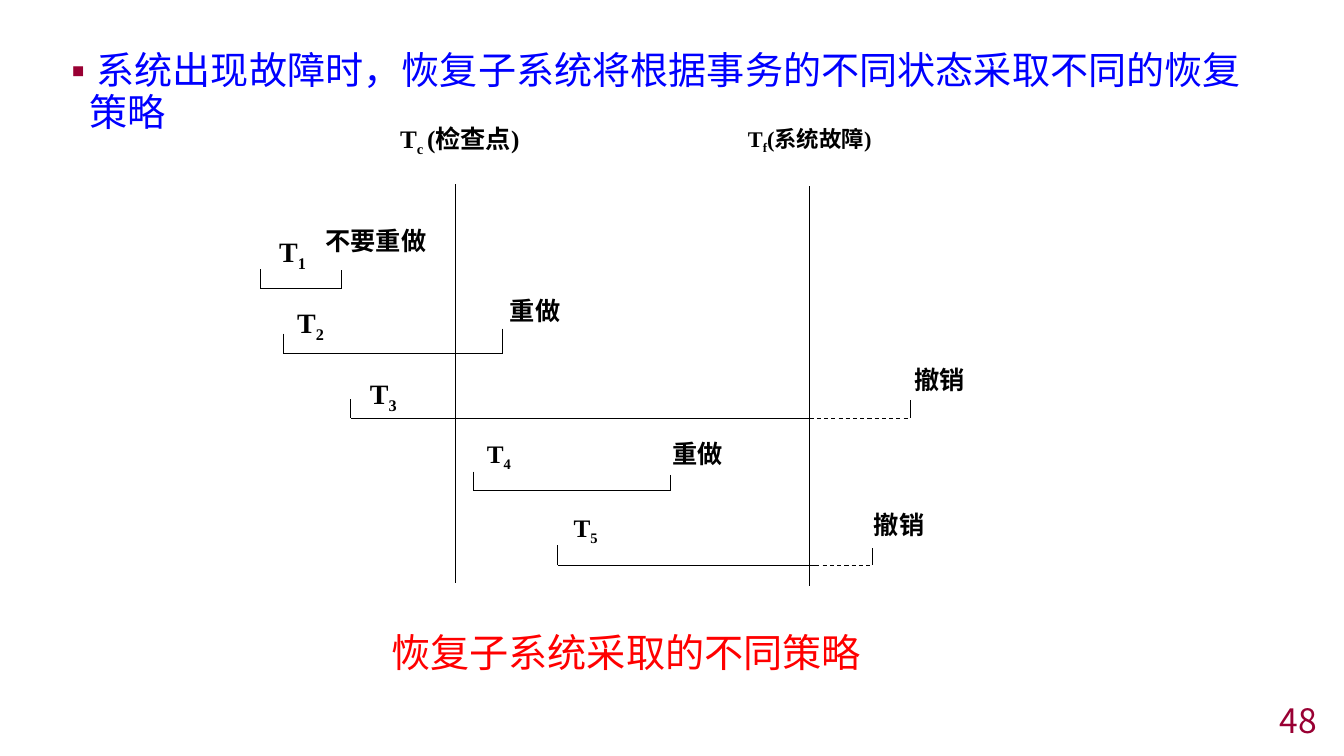
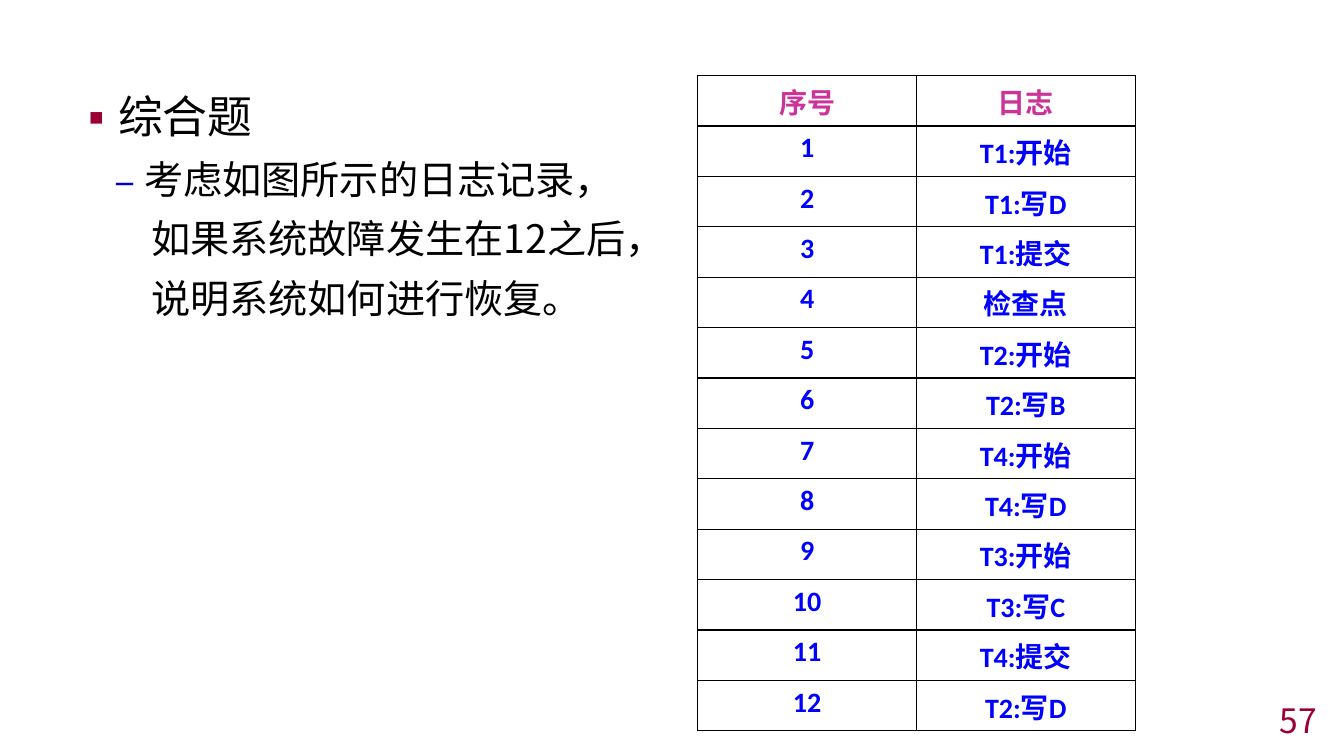
from dataclasses import dataclass
from typing import Optional

from lxml.etree import SubElement
from pptx import Presentation
from pptx.dml.color import RGBColor
from pptx.enum.dml import MSO_LINE
from pptx.enum.shapes import MSO_CONNECTOR
from pptx.enum.text import MSO_ANCHOR, MSO_AUTO_SIZE, PP_ALIGN
from pptx.oxml import parse_xml
from pptx.oxml.ns import nsdecls, qn
from pptx.util import Emu, Pt


@dataclass(frozen=True)
class Theme:
    black: str = "000000"
    blue: str = "0000FF"
    dash_blue: str = "0000CC"
    red: str = "FF0000"
    maroon: str = "990033"
    pink: str = "CC3399"
    sans: str = "Noto Sans CJK SC"
    serif: str = "Times New Roman"
    table_font: str = "Calibri"
    heading: float = 32
    body: float = 28
    lead: float = 27.2
    page: float = 24
    table: float = 20
    label: float = 18
    hairline: float = 0.5
    thin: float = 0.75
    border: float = 1


@dataclass(frozen=True)
class Bullet:
    char: str
    color: str
    percent: int = 100


@dataclass(frozen=True)
class Item:
    """One paragraph of a body list; indents are px."""
    text: str
    size: float
    color: str
    line_height: float
    left: int
    bullet: Optional[Bullet] = None
    hang: int = 0
    level: int = 0
    before: float = 0


@dataclass(frozen=True)
class Transaction:
    """A bracket on the time axis, dashed from crash to end if unfinished."""
    start: int
    end: int
    base: int
    start_tick: int
    end_tick: int
    crash: Optional[int] = None
    resume: Optional[int] = None


@dataclass(frozen=True)
class Label:
    """Diagram text; the part after the first | is a subscript, up to the next |."""
    text: str
    left: int
    top: int
    width: int = 124
    size: float = 18


THEME = Theme()
SQUARE = Bullet("▪", THEME.maroon, 95)
DASH = Bullet("–", THEME.dash_blue)

EVENTS = [(452, 183, 578), (803, 185, 581)]

TRANSACTIONS = [
    Transaction(258, 339, 286, 267, 268),
    Transaction(281, 498, 351, 331, 326),
    Transaction(348, 903, 415, 396, 397, crash=803, resume=803),
    Transaction(470, 665, 487, 468, 471),
    Transaction(553, 865, 561, 541, 544, crash=812, resume=816),
]

LABELS = [
    Label("T|c |(检查点)", 387, 117, 160),
    Label("T|f|(系统故障)", 732, 119, 180, 16),
    Label("T|1", 267, 228, size=20),
    Label("T|2", 285, 298, size=20),
    Label("T|3", 357, 369, size=20),
    Label("T|4", 473, 430),
    Label("T|5", 559, 503),
    Label("不要重做", 313, 219, 156),
    Label("重做", 496, 288),
    Label("撤销", 897, 357),
    Label("重做", 657, 430),
    Label("撤销", 857, 500),
]

LOG = ["T1:开始", "T1:写D", "T1:提交", "检查点", "T2:开始", "T2:写B",
       "T4:开始", "T4:写D", "T3:开始", "T3:写C", "T4:提交", "T2:写D"]


def px(length: int) -> Emu:
    """100 px make one inch."""
    return Emu(length * 9144)


def write(paragraph, text: str, *, size: float, color: str = THEME.black,
          font: str = THEME.sans, bold: bool = False, align=PP_ALIGN.LEFT) -> None:
    """Fill a paragraph; every second part between | marks is a subscript."""
    paragraph.alignment = align
    for position, part in enumerate(text.split("|")):
        run = paragraph.add_run()
        run.text = part
        run.font.size = Pt(size)
        run.font.bold = bold
        run.font.color.rgb = RGBColor.from_string(color)
        run.font.name = font
        properties = run._r.get_or_add_rPr()
        SubElement(properties, qn("a:ea")).set("typeface", THEME.sans)
        if position % 2:
            properties.set("baseline", "-25000")


def add_text(slide, text: str, left: int, top: int, width: int, height: int, *,
             anchor=MSO_ANCHOR.TOP, **style) -> None:
    box = slide.shapes.add_textbox(px(left), px(top), px(width), px(height))
    frame = box.text_frame
    frame.word_wrap = True
    frame.vertical_anchor = anchor
    write(frame.paragraphs[0], text, **style)


def set_bullet(paragraph, item: Item) -> None:
    properties = paragraph._p.get_or_add_pPr()
    properties.set("marL", str(px(item.left)))
    properties.set("indent", str(px(-item.hang)))
    if item.bullet is None:
        SubElement(properties, qn("a:buNone"))
        return
    tint = SubElement(properties, qn("a:buClr"))
    SubElement(tint, qn("a:srgbClr")).set("val", item.bullet.color)
    SubElement(properties, qn("a:buSzPct")).set("val", str(item.bullet.percent * 1000))
    SubElement(properties, qn("a:buFont")).set("typeface", THEME.sans)
    SubElement(properties, qn("a:buChar")).set("char", item.bullet.char)


def add_page(deck, number: int, items: list[Item], left: int, top: int,
             width: int, height: int):
    """Add a slide with its body list and page number, without a title."""
    slide = deck.slides.add_slide(deck.slide_layouts[1])
    title = slide.shapes.title._element
    title.getparent().remove(title)
    body = slide.placeholders[1]
    body.left, body.top, body.width, body.height = map(px, (left, top, width, height))
    frame = body.text_frame
    frame.auto_size = MSO_AUTO_SIZE.NONE
    frame.word_wrap = True
    frame.vertical_anchor = MSO_ANCHOR.TOP
    for index, item in enumerate(items):
        paragraph = frame.add_paragraph() if index else frame.paragraphs[0]
        set_bullet(paragraph, item)
        paragraph.level = item.level
        paragraph.line_spacing = Pt(item.line_height)
        paragraph.space_before = Pt(item.before)
        write(paragraph, item.text, size=item.size, color=item.color)
    add_text(slide, str(number), 1033, 699, 283, 31, anchor=MSO_ANCHOR.MIDDLE,
             size=THEME.page, color=THEME.maroon, align=PP_ALIGN.RIGHT)
    return slide


def add_line(slide, x1: int, y1: int, x2: int, y2: int,
             weight: float = THEME.thin, dashed: bool = False) -> None:
    line = slide.shapes.add_connector(
        MSO_CONNECTOR.STRAIGHT, px(x1), px(y1), px(x2), px(y2))
    line.line.color.rgb = RGBColor.from_string(THEME.black)
    line.line.width = Pt(weight)
    if dashed:
        line.line.dash_style = MSO_LINE.DASH
    SubElement(line._element.spPr, qn("a:effectLst"))


def draw_transaction(slide, span: Transaction) -> None:
    add_line(slide, span.start, span.start_tick, span.start, span.base)
    add_line(slide, span.start, span.base, span.crash or span.end, span.base)
    if span.resume is not None:
        add_line(slide, span.resume, span.base, span.end, span.base, dashed=True)
    add_line(slide, span.end, span.end_tick, span.end, span.base)


def set_borders(cell) -> None:
    properties = cell._tc.get_or_add_tcPr()
    for position, side in enumerate(("lnL", "lnR", "lnT", "lnB")):
        properties.insert(position, parse_xml(
            f'<a:{side} {nsdecls("a")} w="{Pt(THEME.border)}"><a:solidFill>'
            f'<a:srgbClr val="{THEME.black}"/></a:solidFill></a:{side}>'))


def add_log_table(slide, left: int, top: int, column: int, row: int) -> None:
    rows = [("序号", "日志")] + [(str(n), entry) for n, entry in enumerate(LOG, 1)]
    table = slide.shapes.add_table(len(rows), 2, px(left), px(top),
                                   px(2 * column), px(len(rows) * row)).table
    table.first_row = table.horz_banding = False
    for table_column in table.columns:
        table_column.width = px(column)
    for r, values in enumerate(rows):
        for c, value in enumerate(values):
            cell = table.cell(r, c)
            cell.fill.background()
            set_borders(cell)
            write(cell.text_frame.paragraphs[0], value, size=THEME.table,
                  color=THEME.blue if r else THEME.pink,
                  font=THEME.table_font, bold=True, align=PP_ALIGN.CENTER)


def build_strategies(deck) -> None:
    lead = Item("系统出现故障时，恢复子系统将根据事务的不同状态采取不同的恢复策略",
                THEME.lead, THEME.blue, 30, 29, SQUARE, 29)
    slide = add_page(deck, 48, [lead], 50, 45, 1219, 92)
    for x, top, bottom in EVENTS:
        add_line(slide, x, top, x, bottom, THEME.hairline)
    for span in TRANSACTIONS:
        draw_transaction(slide, span)
    for label in LABELS:
        add_text(slide, label.text, label.left, label.top, label.width, 73,
                 size=label.size, font=THEME.serif, bold=True)
    add_text(slide, "恢复子系统采取的不同策略", 322, 618, 598, 57,
             size=THEME.body, color=THEME.red, align=PP_ALIGN.CENTER)


def build_exercise(deck) -> None:
    detail = dict(size=THEME.body, color=THEME.black, line_height=36.5,
                  level=1, before=6)
    items = [
        Item("综合题", THEME.heading, THEME.black, 42, 29, SQUARE, 29),
        Item("考虑如图所示的日志记录，", left=68, bullet=DASH, hang=29, **detail),
        Item("如果系统故障发生在12之后，", left=75, **detail),
        Item("说明系统如何进行恢复。", left=75, **detail),
    ]
    slide = add_page(deck, 57, items, 65, 78, 1204, 640)
    add_log_table(slide, 692, 75, 217, 50)


def main() -> None:
    deck = Presentation()
    deck.slide_width, deck.slide_height = px(1333), px(750)
    build_strategies(deck)
    build_exercise(deck)
    deck.save("out.pptx")


if __name__ == "__main__":
    main()
